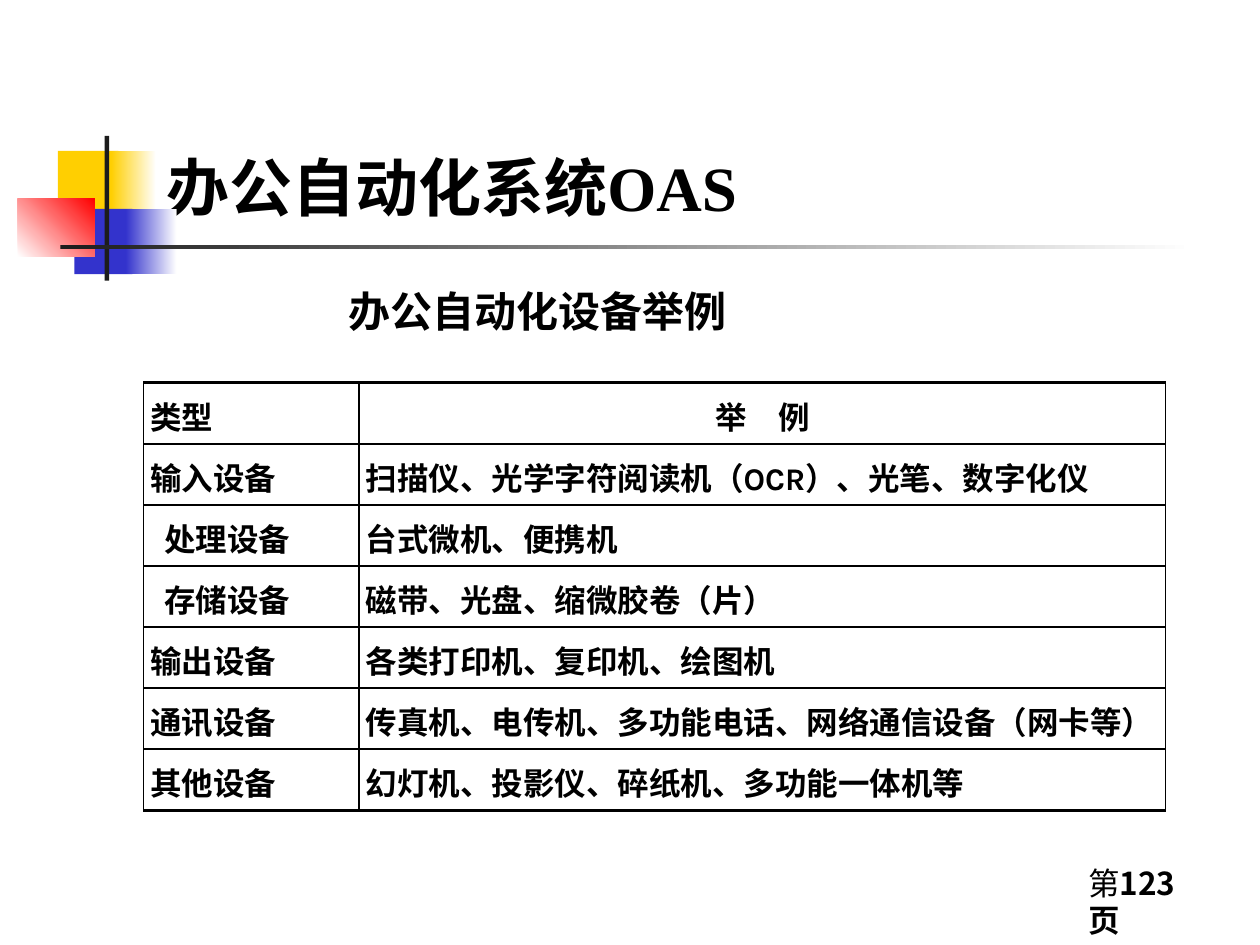
from dataclasses import dataclass

from lxml.etree import SubElement
from pptx import Presentation
from pptx.dml.color import RGBColor
from pptx.enum.shapes import MSO_SHAPE
from pptx.enum.text import MSO_ANCHOR, PP_ALIGN
from pptx.oxml.ns import qn
from pptx.util import Cm, Pt


@dataclass(frozen=True)
class Theme:
    black: str = "000000"
    white: str = "FFFFFF"
    yellow: str = "FFCF01"
    blue: str = "3333CC"
    red: str = "FF0000"
    charcoal: str = "1C1C1C"
    title_size: int = 36
    subtitle_size: int = 24
    body_size: int = 18
    serif: str = "Times New Roman"
    sans: str = "Karla"
    chinese: str = "Noto Sans CJK SC"


THEME = Theme()

EQUIPMENT = [
    ("类型", "举　例"),
    ("输入设备", "扫描仪、光学字符阅读机（OCR）、光笔、数字化仪"),
    ("处理设备", "台式微机、便携机"),
    ("存储设备", "磁带、光盘、缩微胶卷（片）"),
    ("输出设备", "各类打印机、复印机、绘图机"),
    ("通讯设备", "传真机、电传机、多功能电话、网络通信设备（网卡等）"),
    ("其他设备", "幻灯机、投影仪、碎纸机、多功能一体机等"),
]
INDENTED_TYPES = ("处理设备", "存储设备")


def add_text(paragraph, text, size=THEME.body_size, font=THEME.sans,
             bold=True, align=PP_ALIGN.LEFT):
    paragraph.alignment = align
    run = paragraph.add_run()
    run.text = text
    run.font.size = Pt(size)
    run.font.bold = bold
    run.font.name = font
    run.font.color.rgb = RGBColor.from_string(THEME.black)
    east_asian = SubElement(run.font._element, qn("a:ea"))
    east_asian.set("typeface", THEME.chinese)


def set_margins(target, horizontal, vertical):
    target.margin_left = target.margin_right = Cm(horizontal)
    target.margin_top = target.margin_bottom = Cm(vertical)


def place(shape, left, top, width, height):
    shape.left, shape.top = Cm(left), Cm(top)
    shape.width, shape.height = Cm(width), Cm(height)


def add_block(slide, left, top, width, height, color, end_color=None, angle=0):
    """Add a borderless rectangle, graded when an end colour is given."""
    shape = slide.shapes.add_shape(
        MSO_SHAPE.RECTANGLE, Cm(left), Cm(top), Cm(width), Cm(height))
    shape.shadow.inherit = False
    shape.line.fill.background()
    if end_color is None:
        shape.fill.solid()
        shape.fill.fore_color.rgb = RGBColor.from_string(color)
        return
    shape.fill.gradient()
    shape.fill.gradient_angle = angle
    for stop, stop_color in zip(shape.fill.gradient_stops, (color, end_color)):
        stop.color.rgb = RGBColor.from_string(stop_color)


def add_ornament(slide, left, top, rule_width):
    blocks = [
        (0.81, 0.3, 1.22, 1.32, THEME.yellow),
        (1.88, 0.3, 0.91, 1.32, THEME.yellow, THEME.white),
        (1.14, 1.47, 1.17, 1.32, THEME.blue),
        (2.18, 1.47, 1.02, 1.32, THEME.blue, THEME.white),
        (0, 1.27, 1.55, 1.17, THEME.white, THEME.red, 45),
        (1.75, 0, 0.09, 2.92, THEME.charcoal),
        (0.86, 2.2, rule_width, 0.09, THEME.charcoal, THEME.white),
    ]
    for x, y, *details in blocks:
        add_block(slide, left + x, top + y, *details)


def add_title(slide, left, top, width, height):
    title = slide.shapes.title
    place(title, left, top, width, height)
    title.text_frame.vertical_anchor = MSO_ANCHOR.BOTTOM
    add_text(title.text_frame.paragraphs[0], "办公自动化系统OAS",
             size=THEME.title_size, font=THEME.serif)


def add_text_box(slide, left, top, width, height):
    box = slide.shapes.add_textbox(Cm(left), Cm(top), Cm(width), Cm(height))
    box.text_frame.word_wrap = True
    return box.text_frame


def add_subtitle(slide, left, top, width, height):
    frame = add_text_box(slide, left, top, width, height)
    frame.vertical_anchor = MSO_ANCHOR.MIDDLE
    set_margins(frame, 0.13, 0.2)
    add_text(frame.paragraphs[0], "办公自动化设备举例", size=THEME.subtitle_size,
             font=THEME.serif, align=PP_ALIGN.CENTER)


def add_page_number(slide, left, top, width, height):
    paragraph = add_text_box(slide, left, top, width, height).paragraphs[0]
    paragraph.line_spacing = Pt(21)
    add_text(paragraph, "第", font=THEME.chinese, bold=False)
    add_text(paragraph, "123页", font=THEME.chinese)


def set_borders(cell, **widths):
    """Draw the sides L, R, T and B in the given point widths."""
    properties = cell._tc.get_or_add_tcPr()
    for side, width in widths.items():
        line = SubElement(properties, qn(f"a:ln{side}"), w=str(Pt(width)))
        fill = SubElement(line, qn("a:solidFill"))
        SubElement(fill, qn("a:srgbClr"), val=THEME.black)


def add_equipment_table(slide, left, top, width, height, type_width):
    last_row = len(EQUIPMENT) - 1
    table = slide.shapes.add_table(
        len(EQUIPMENT), 2, Cm(left), Cm(top), Cm(width), Cm(height)).table
    table.first_row = table.horz_banding = False
    table.columns[0].width = Cm(type_width)
    table.columns[1].width = Cm(width - type_width)
    for row_index, texts in enumerate(EQUIPMENT):
        table.rows[row_index].height = Cm(height / len(EQUIPMENT))
        for column_index, text in enumerate(texts):
            cell = table.cell(row_index, column_index)
            set_borders(cell,
                        L=1 if column_index else 0.5,
                        R=0.5 if column_index else 1,
                        T=2 if row_index == 0 else 1,
                        B=2 if row_index == last_row else 1)
            cell.fill.background()
            set_margins(cell, 0.13, 0.2)
            if text in INDENTED_TYPES:
                cell.margin_left = Cm(0.41)
            centered = row_index == 0 and column_index == 1
            add_text(cell.text_frame.paragraphs[0], text,
                     align=PP_ALIGN.CENTER if centered else PP_ALIGN.LEFT)


def main():
    presentation = Presentation()
    presentation.slide_width, presentation.slide_height = Cm(25.4), Cm(19.05)
    slide = presentation.slides.add_slide(presentation.slide_layouts[5])
    add_ornament(slide, 0.36, 2.74, rule_width=22.86)
    add_page_number(slide, 21.69, 17.32, 2.74, 1.02)
    add_title(slide, 3.1, 1.52, 21.64, 3.12)
    add_subtitle(slide, 1.75, 5.56, 18.16, 1.42)
    add_equipment_table(slide, 2.9, 7.72, 20.6, 8.61, type_width=4.34)
    presentation.save("out.pptx")


if __name__ == "__main__":
    main()
